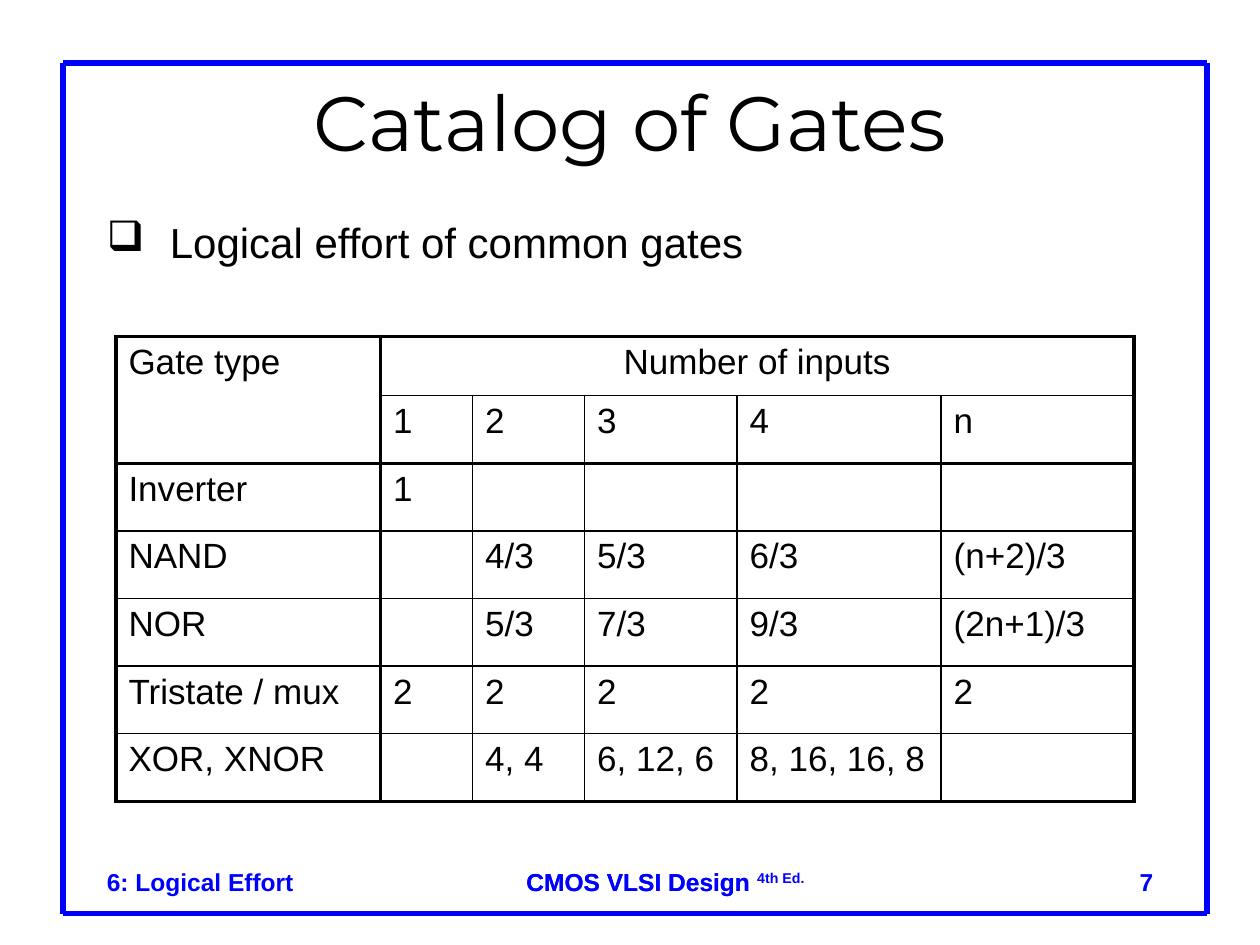
from typing import NamedTuple

from lxml import etree
from pptx import Presentation
from pptx.dml.color import RGBColor
from pptx.enum.shapes import MSO_CONNECTOR
from pptx.enum.text import MSO_ANCHOR, PP_ALIGN
from pptx.oxml.ns import qn
from pptx.util import Inches, Pt

LEFT, CENTER, RIGHT = PP_ALIGN.LEFT, PP_ALIGN.CENTER, PP_ALIGN.RIGHT
TOP, MIDDLE = MSO_ANCHOR.TOP, MSO_ANCHOR.MIDDLE
STRAIGHT = MSO_CONNECTOR.STRAIGHT

COLORS = {"frame": "0000FF", "text": "000000", "cell": "FFFFFF"}
THICK, THIN = 2.25, 1


class Style(NamedTuple):
    size: float
    font: str = "Arial"
    color: str = "text"
    bold: bool = False


class Label(NamedTuple):
    left: float
    top: float
    width: float
    height: float
    text: str
    style: Style
    align: PP_ALIGN = LEFT
    anchor: MSO_ANCHOR = TOP
    superscript: str = ""
    bullet: str = ""


FOOTER = Style(14, color="frame", bold=True)
TITLE = Style(44, font="Montserrat")
BODY = Style(24)
CELL = Style(20)

LABELS = [
    Label(4.08, 6.83, 2.42, 0.33, "CMOS VLSI Design", FOOTER),
    Label(4.08, 6.83, 2.5, 0.33, "CMOS VLSI Design ", FOOTER, superscript="4th Ed."),
    Label(0.75, 6.83, 8.5, 0.5, "6: Logical Effort", FOOTER),
    Label(7.17, 6.83, 2.08, 0.5, "7", FOOTER, align=RIGHT),
    Label(0.75, 0.58, 8.5, 0.75, "Catalog of Gates", TITLE, align=CENTER, anchor=MIDDLE),
    Label(0.75, 1.67, 8.5, 5, "Logical effort of common gates", BODY, bullet="❑"),
]

GATES = [
    ["Gate type", "Number of inputs", "", "", "", ""],
    ["", "1", "2", "3", "4", "n"],
    ["Inverter", "1", "", "", "", ""],
    ["NAND", "", "4/3", "5/3", "6/3", "(n+2)/3"],
    ["NOR", "", "5/3", "7/3", "9/3", "(2n+1)/3"],
    ["Tristate / mux", "2", "2", "2", "2", "2"],
    ["XOR, XNOR", "", "4, 4", "6, 12, 6", "8, 16, 16, 8", ""],
]
COLUMN_WIDTHS = [2.1, 0.73, 0.89, 1.21, 1.62, 1.53]
TABLE_HEIGHT, HEADER_HEIGHT = 3.69, 0.47
THICK_COLUMN_LINES = {0, 1, 6}
THICK_ROW_LINES = {0, 2, 7}


def add_span(para, text: str, style: Style):
    span = para.add_run()
    span.text = text
    span.font.name = style.font
    span.font.size = Pt(style.size)
    span.font.bold = style.bold
    span.font.color.rgb = RGBColor.from_string(COLORS[style.color])
    return span


def add_label(page, label: Label) -> None:
    box = page.shapes.add_textbox(Inches(label.left), Inches(label.top),
                                  Inches(label.width), Inches(label.height))
    frame = box.text_frame
    frame.word_wrap = True
    frame.vertical_anchor = label.anchor
    para = frame.paragraphs[0]
    para.alignment = label.align
    if label.bullet:
        properties = para._p.get_or_add_pPr()
        properties.set("marL", str(Inches(0.5)))
        properties.set("indent", str(Inches(-0.5)))
        etree.SubElement(properties, qn("a:buChar")).set("char", label.bullet)
    add_span(para, label.text, label.style)
    if label.superscript:
        span = add_span(para, label.superscript, label.style)
        span._r.get_or_add_rPr().set("baseline", "30000")


def add_frame(page, left: float, top: float, right: float, bottom: float) -> None:
    corners = [(left, top), (right, top), (right, bottom), (left, bottom)]
    for start, end in zip(corners, corners[1:] + corners[:1]):
        line = page.shapes.add_connector(STRAIGHT, *map(Inches, start + end))
        line.line.width = Pt(3)
        line.line.color.rgb = RGBColor.from_string(COLORS["frame"])
        etree.SubElement(line._element.spPr, qn("a:effectLst"))


def set_borders(cell, row: int, column: int) -> None:
    """Draw the grid lines around a cell, except those inside a merged cell."""
    end_row, end_column = row + 1, column + 1
    if cell.is_merge_origin:
        end_row, end_column = row + cell.span_height, column + cell.span_width
    properties = cell._tc.get_or_add_tcPr()
    edges = [("L", column, True), ("R", end_column, True),
             ("T", row, False), ("B", end_row, False)]
    for position, (side, index, vertical) in enumerate(edges):
        inside_heading = vertical and row == 0 and 1 < index < len(COLUMN_WIDTHS)
        inside_gate_type = not vertical and column == 0 and index == 1
        if inside_heading or inside_gate_type:
            continue
        thick_lines = THICK_COLUMN_LINES if vertical else THICK_ROW_LINES
        width = THICK if index in thick_lines else THIN
        border = etree.Element(qn(f"a:ln{side}"), w=str(Pt(width)))
        fill = etree.SubElement(border, qn("a:solidFill"))
        etree.SubElement(fill, qn("a:srgbClr")).set("val", COLORS["text"])
        properties.insert(position, border)


def add_gate_table(page) -> None:
    holder = page.shapes.add_table(len(GATES), len(COLUMN_WIDTHS), Inches(0.92), Inches(2.67),
                                   Inches(sum(COLUMN_WIDTHS)), Inches(TABLE_HEIGHT))
    table = holder.table
    table.first_row = table.horz_banding = False
    for column, width in zip(table.columns, COLUMN_WIDTHS):
        column.width = Inches(width)
    row_height = (TABLE_HEIGHT - HEADER_HEIGHT) / (len(GATES) - 1)
    for index, row in enumerate(table.rows):
        row.height = Inches(row_height if index else HEADER_HEIGHT)
    table.cell(0, 0).merge(table.cell(1, 0))
    table.cell(0, 1).merge(table.cell(0, 5))

    for row, texts in enumerate(GATES):
        for column, text in enumerate(texts):
            cell = table.cell(row, column)
            cell.fill.solid()
            cell.fill.fore_color.rgb = RGBColor.from_string(COLORS["cell"])
            set_borders(cell, row, column)
            if text:
                para = cell.text_frame.paragraphs[0]
                para.alignment = CENTER if (row, column) == (0, 1) else LEFT
                add_span(para, text, CELL)


def main() -> None:
    deck = Presentation()
    deck.slide_width, deck.slide_height = Inches(10), Inches(7.5)
    page = deck.slides.add_slide(deck.slide_layouts[6])

    # Blue frame around the page
    add_frame(page, 0.5, 0.5, 9.58, 7.25)
    # Logical effort by gate and number of inputs
    add_gate_table(page)
    # Footer, title and bullet
    for label in LABELS:
        add_label(page, label)

    deck.save("out.pptx")


if __name__ == "__main__":
    main()
